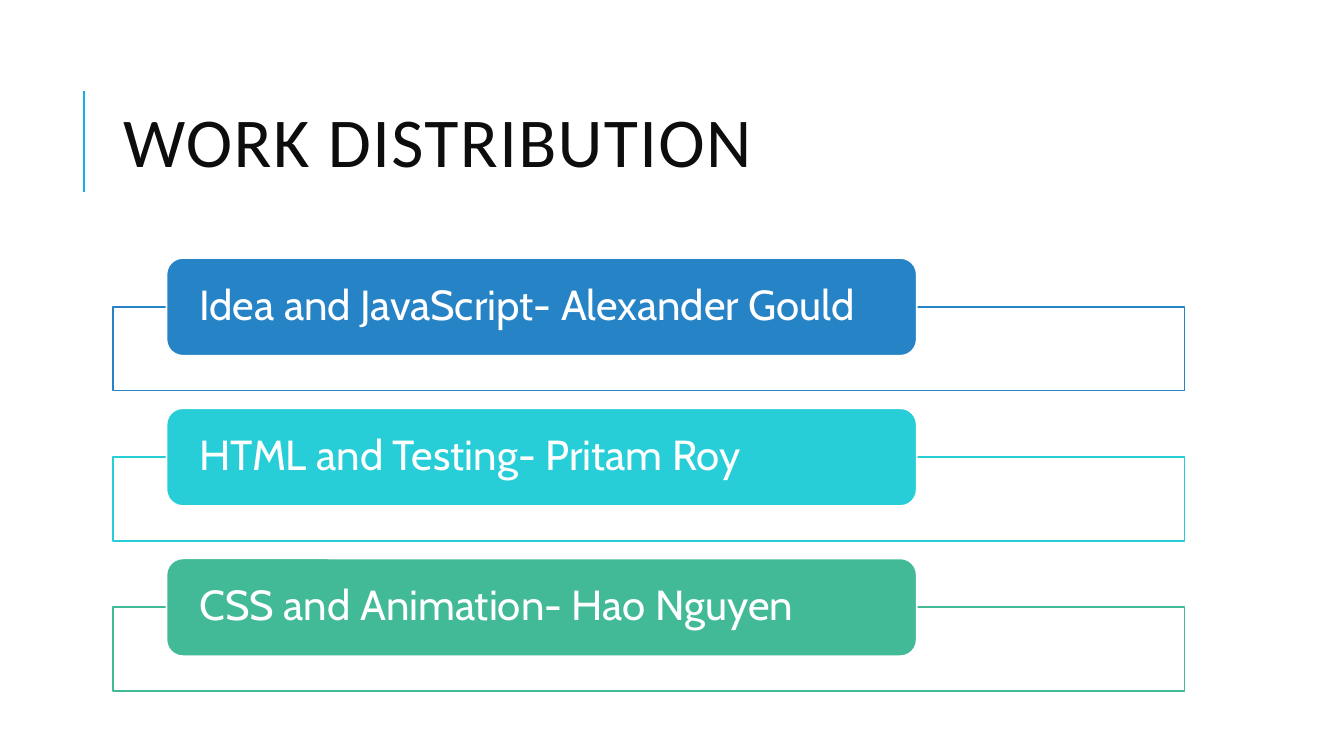
from pptx import Presentation
from pptx.dml.color import RGBColor
from pptx.enum.shapes import MSO_CONNECTOR, MSO_SHAPE
from pptx.enum.text import MSO_ANCHOR, PP_ALIGN
from pptx.oxml.ns import qn
from pptx.util import Inches, Pt
from lxml.etree import SubElement

TITLE = "WORK DISTRIBUTION"
TASKS = [
    ("Idea and JavaScript-\u00a0Alexander Gould", "blue"),
    ("HTML and Testing- Pritam Roy", "cyan"),
    ("CSS and Animation- Hao Nguyen", "green"),
]
HUES = {"blue": "2683C6", "cyan": "27CED7", "green": "42BA97",
        "white": "FFFFFF", "ink": "0D0D0D", "rule": "1CADE4"}

WIDE, HIGH = 13.33, 7.5
LEFT, SPAN = 1.12, 10.63        # content column
TOP, PITCH = 2.56, 1.49         # first row and row step
TAB_W, TAB_H = SPAN * 0.7, 0.97
FRAME_H = 0.83


def hue(name):
    return RGBColor.from_string(HUES[name])


def write(frame, text, font, size, color, lead):
    """Put one left-aligned, vertically centred line in a text frame."""
    frame.word_wrap = True
    frame.vertical_anchor = MSO_ANCHOR.MIDDLE
    par = frame.paragraphs[0]
    par.alignment = PP_ALIGN.LEFT
    par.line_spacing = lead
    run = par.add_run()
    run.text = text
    run.font.name = font
    run.font.size = Pt(size)
    run.font.color.rgb = hue(color)
    return run


def block(slide, kind, box, fill, line):
    shape = slide.shapes.add_shape(kind, *map(Inches, box))
    shape.shadow.inherit = False
    shape.fill.solid()
    shape.fill.fore_color.rgb = hue(fill)
    shape.line.color.rgb = hue(line)
    shape.line.width = Pt(1.25)
    return shape


def add_title(slide):
    rule = slide.shapes.add_connector(
        MSO_CONNECTOR.STRAIGHT, *map(Inches, (0.83, 1.9, 0.83, 0.9)))
    rule.line.color.rgb = hue("rule")
    rule.line.width = Pt(1.5)
    SubElement(rule._element.spPr, qn("a:effectLst"))

    title = slide.shapes.title
    title.left, title.top, title.width, title.height = map(
        Inches, (LEFT, 0.64, SPAN, 1.64))
    run = write(title.text_frame, TITLE, "Calibri", 50, "ink", 0.8)
    run._r.get_or_add_rPr().set("spc", "100")


def add_task(slide, row, text, color):
    top = TOP + row * PITCH
    mid = top + TAB_H / 2
    frame = block(slide, MSO_SHAPE.RECTANGLE,
                  (LEFT, mid, SPAN, FRAME_H), "white", color)
    tint = frame.fill._xPr.find(qn("a:solidFill"))[0]
    SubElement(tint, qn("a:alpha"), val="90000")

    tab = block(slide, MSO_SHAPE.ROUNDED_RECTANGLE,
                (LEFT + SPAN / 20, top, TAB_W, TAB_H), color, "white")
    body = tab.text_frame
    body.margin_left = body.margin_right = Inches(0.28)
    body.margin_top = body.margin_bottom = 0
    write(body, text, "Cabin", 30, "white", 0.9)


def main():
    deck = Presentation()
    deck.slide_width, deck.slide_height = Inches(WIDE), Inches(HIGH)
    slide = deck.slides.add_slide(deck.slide_layouts[5])
    add_title(slide)
    for row, (text, color) in enumerate(TASKS):
        add_task(slide, row, text, color)
    deck.save("out.pptx")


if __name__ == "__main__":
    main()
